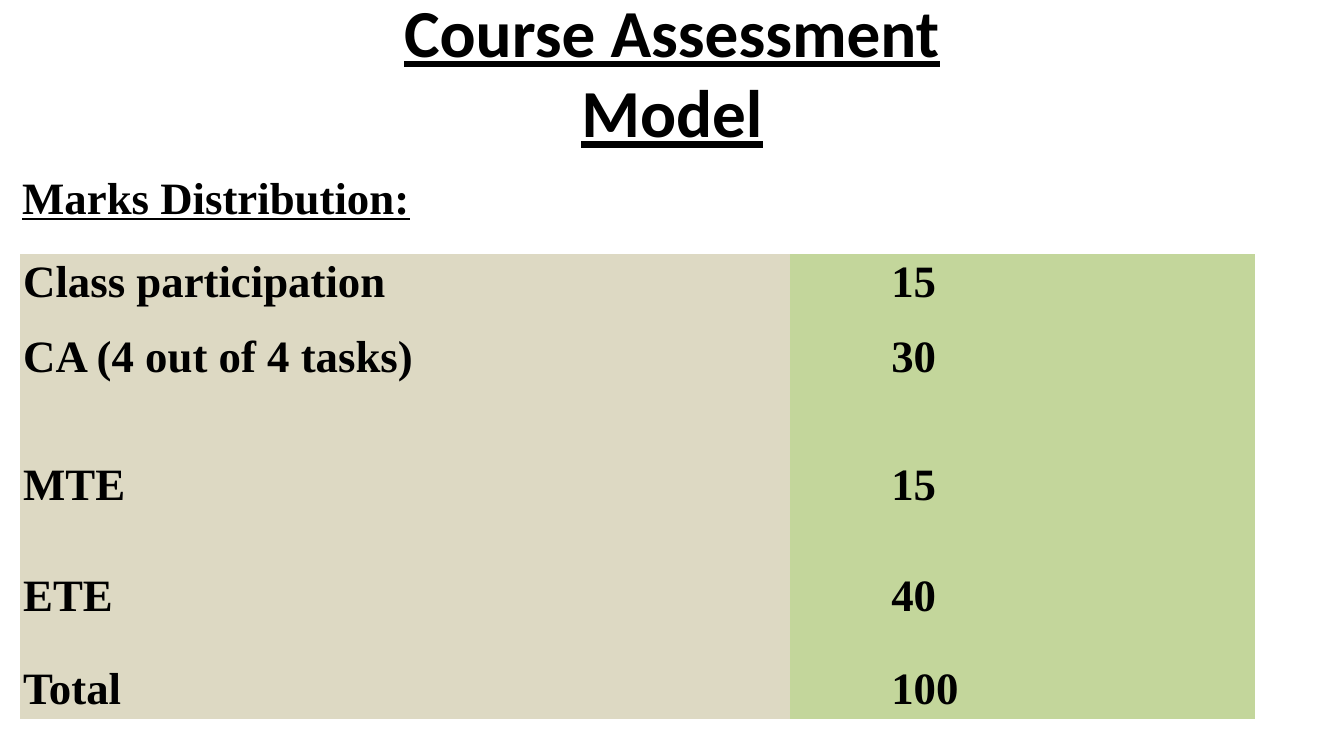
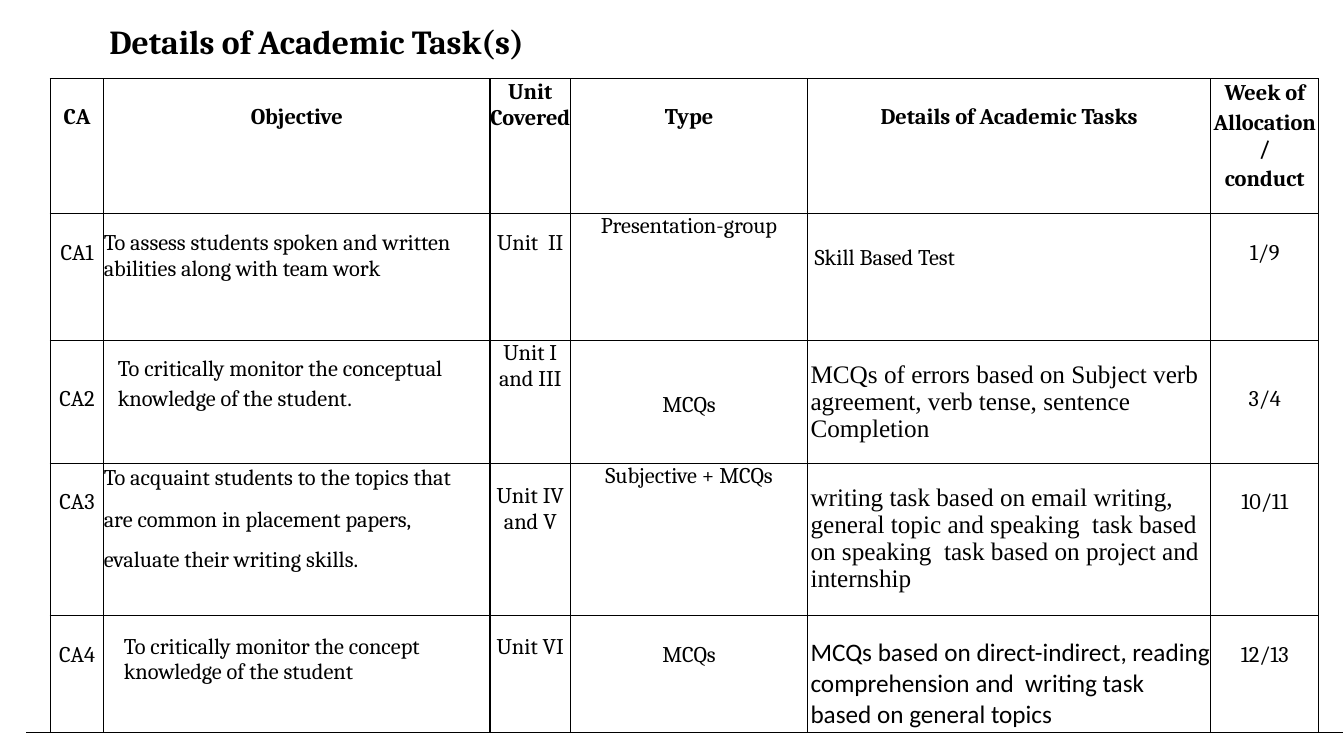
from itertools import zip_longest

from lxml.etree import SubElement
from pptx import Presentation
from pptx.dml.color import RGBColor
from pptx.enum.text import MSO_ANCHOR as Anchor, MSO_AUTO_SIZE as AutoSize, PP_ALIGN as Align
from pptx.oxml.ns import qn
from pptx.util import Inches, Pt

BLACK, SAND, LEAF = "000000", "DDD9C3", "C3D69B"
CAMBRIA, TIMES, CALIBRI = "Cambria", "Times New Roman", "Calibri"
PLAIN_TABLE = "{2D5ABB26-0587-4C30-8999-92F81FD0307C}"


def color(value):
    """Turn a hex string into a colour."""
    return RGBColor.from_string(value)


class Deck:
    """Hold the shared style and the current slide."""

    def __init__(self):
        """Start an empty widescreen presentation."""
        self.presentation = Presentation()
        self.presentation.slide_width = Inches(13.33)
        self.presentation.slide_height = Inches(7.5)
        self.slide = None

    def set_text(self, holder, text, margins):
        """Set the text and margins of a text frame or table cell."""
        holder.text = text
        (holder.margin_left, holder.margin_top,
         holder.margin_right, holder.margin_bottom) = map(Inches, margins)

    def style_text(self, text_frame, font=CAMBRIA, size=16, bold=False, underline=False,
                   align=Align.LEFT, spacing=(), before=0):
        """Apply type style and spacing to the paragraphs of a text frame."""
        text_frame.word_wrap = True
        for index, (paragraph, line) in enumerate(zip_longest(text_frame.paragraphs, spacing)):
            paragraph.alignment = align
            paragraph.line_spacing = line
            if index:
                paragraph.space_before = Pt(before)
            for run in paragraph.runs:
                run.font.name = font
                run.font.size = Pt(size)
                run.font.bold = bold
                run.font.underline = underline
                run.font.color.rgb = color(BLACK)

    def add_slide(self, title, box, font, size, underline=False):
        """Add a slide with a formatted title placeholder."""
        self.slide = self.presentation.slides.add_slide(self.presentation.slide_layouts[5])
        shape = self.slide.shapes.title
        shape.left, shape.top, shape.width, shape.height = map(Inches, box)
        self.set_text(shape.text_frame, title, (0.1, 0.01, 0.1, 0.05))
        self.style_text(shape.text_frame, font, size, True, underline, Align.CENTER)
        shape.text_frame.vertical_anchor = Anchor.MIDDLE
        shape.text_frame.auto_size = AutoSize.NONE

    def add_heading(self, text, box):
        """Add an underlined heading."""
        shape = self.slide.shapes.add_textbox(*map(Inches, box))
        self.set_text(shape.text_frame, text, (0, 0.01, 0, 0))
        self.style_text(shape.text_frame, TIMES, 32, True, True)

    def add_table(self, left, top, widths, heights):
        """Add an unstyled table with the given grid."""
        frame = self.slide.shapes.add_table(len(heights), len(widths), Inches(left), Inches(top),
                                            Inches(sum(widths)), Inches(sum(heights)))
        table = frame.table
        table.first_row = table.horz_banding = False
        table._tbl.tblPr.find(qn("a:tableStyleId")).text = PLAIN_TABLE
        for column, width in zip(table.columns, widths):
            column.width = Inches(width)
        for row, height in zip(table.rows, heights):
            row.height = Inches(height)
        return table

    def fill_cell(self, cell, text, top=0, left=0, right=0, fill=None, **style):
        """Set the text, type style and fill of a table cell."""
        self.set_text(cell, text, (left, top, right, 0))
        self.style_text(cell.text_frame, **style)
        if fill:
            cell.fill.solid()
            cell.fill.fore_color.rgb = color(fill)
        else:
            cell.fill.background()

    def add_borders(self, cell, sides="LRTB"):
        """Draw thin black borders on the given sides of a cell."""
        properties = cell._tc.get_or_add_tcPr()
        for side in sides:
            line = SubElement(properties, qn(f"a:ln{side}"), w=str(Pt(1)))
            solid = SubElement(line, qn("a:solidFill"))
            SubElement(solid, qn("a:srgbClr"), val=BLACK)


def build_marks(deck):
    """Build the slide with the marks distribution."""
    deck.add_slide("Course Assessment Model", (2.95, 0.31, 7.43, 0.82), CALIBRI, 48, True)
    deck.add_heading("Marks Distribution:", (0.22, 1.67, 4.18, 0.55))
    marks = [
        ("Class participation", "15", 0.69, 0, 1.06),
        ("CA (4 out of 4 tasks)", "30", 1.26, 0.09, None),
        ("MTE", "15", 1.1, 0.1, None),
        ("ETE", "40", 0.85, 0.1, None),
        ("Total", "100", 0.69, 0.09, 1.16),
    ]
    table = deck.add_table(0.2, 2.52, (7.64, 4.61), [mark[2] for mark in marks])
    for row, (label, value, _, top, line) in enumerate(marks):
        for column, (text, left, fill) in enumerate(((label, 0.03, SAND), (value, 1, LEAF))):
            deck.fill_cell(table.cell(row, column), text, top, left, fill=fill, font=TIMES,
                           size=32, bold=True, spacing=(line,))


def build_tasks(deck):
    """Build the slide with the academic tasks."""
    deck.add_slide("Details of Academic Task(s)", (0.24, 0.19, 5.8, 0.47), CAMBRIA, 24)
    center = dict(align=Align.CENTER)
    objective = dict(right=0.1)
    detail = dict(left=0.03, size=18)
    column_styles = (center, objective, center, center, detail, center)
    header = [
        ("CA", 0.26), ("Objective", 0.26), ("Unit Covered", 0.01), ("Type", 0.26),
        ("Details of Academic Tasks", 0.26), ("Week of\nAllocation/\nconduct", 0.02),
    ]
    tasks = [
        [("CA1", 0.26),
         ("To assess students spoken and written abilities along with team work", 0.17),
         ("Unit  II", 0.17), ("Presentation-group", 0),
         ("Skill Based Test", 0.31, dict(left=0.07, size=16)), ("1/9", 0.26)],
        [("CA2", 0.45),
         ("To critically monitor the conceptual knowledge of the student.", 0.12,
          dict(left=0.14, spacing=(1.15,))),
         ("Unit I and III", 0), ("MCQs", 0.51),
         ("MCQs of errors based on Subject verb agreement, verb tense, sentence Completion",
          0.22, dict(font=TIMES, spacing=(0.95,))), ("3/4", 0.45)],
        [("CA3", 0.26),
         ("To acquaint students to the topics that\n"
          "are common in placement papers, evaluate their writing skills.", 0.02,
          dict(spacing=(None, 1.56), before=1)),
         ("Unit IV and V", 0.2), ("Subjective + MCQs", 0),
         ("writing task based on email writing, general topic and speaking  task based "
          "on speaking  task based on project and internship",
          0.21, dict(font=TIMES, spacing=(0.97,))), ("10/11", 0.26)],
        [("CA4", 0.26),
         ("To critically monitor the concept knowledge of the student", 0.18, dict(left=0.2)),
         ("Unit VI", 0.18), ("MCQs", 0.26),
         ("MCQs based on direct-indirect, reading comprehension and  writing task based "
          "on general topics", 0.22, dict(font=CALIBRI)), ("12/13", 0.26)],
    ]
    widths = (0.16, 0.53, 3.83, 0.8, 2.35, 4, 1.07, 0.08)
    table = deck.add_table(0.26, 0.78, widths, (1.34, 1.26, 1.22, 1.51, 1.16))
    last_row, last_column = len(tasks), len(widths) - 1
    for column, sides in ((0, "RB"), (last_column, "LB")):
        margin_cell = table.cell(0, column)
        margin_cell.merge(table.cell(last_row, column))
        deck.add_borders(margin_cell, sides)
    for column, (text, top) in enumerate(header, 1):
        cell = table.cell(0, column)
        deck.add_borders(cell)
        deck.fill_cell(cell, text, top, bold=True, before=3, **center)
    for row, task in enumerate(tasks, 1):
        for column, ((text, top, *extra), style) in enumerate(zip(task, column_styles), 1):
            cell = table.cell(row, column)
            deck.add_borders(cell)
            overrides = extra[0] if extra else {}
            deck.fill_cell(cell, text, top, **{**style, **overrides})


def main():
    """Build and save the presentation."""
    deck = Deck()
    build_marks(deck)
    build_tasks(deck)
    deck.presentation.save("out.pptx")


if __name__ == "__main__":
    main()
